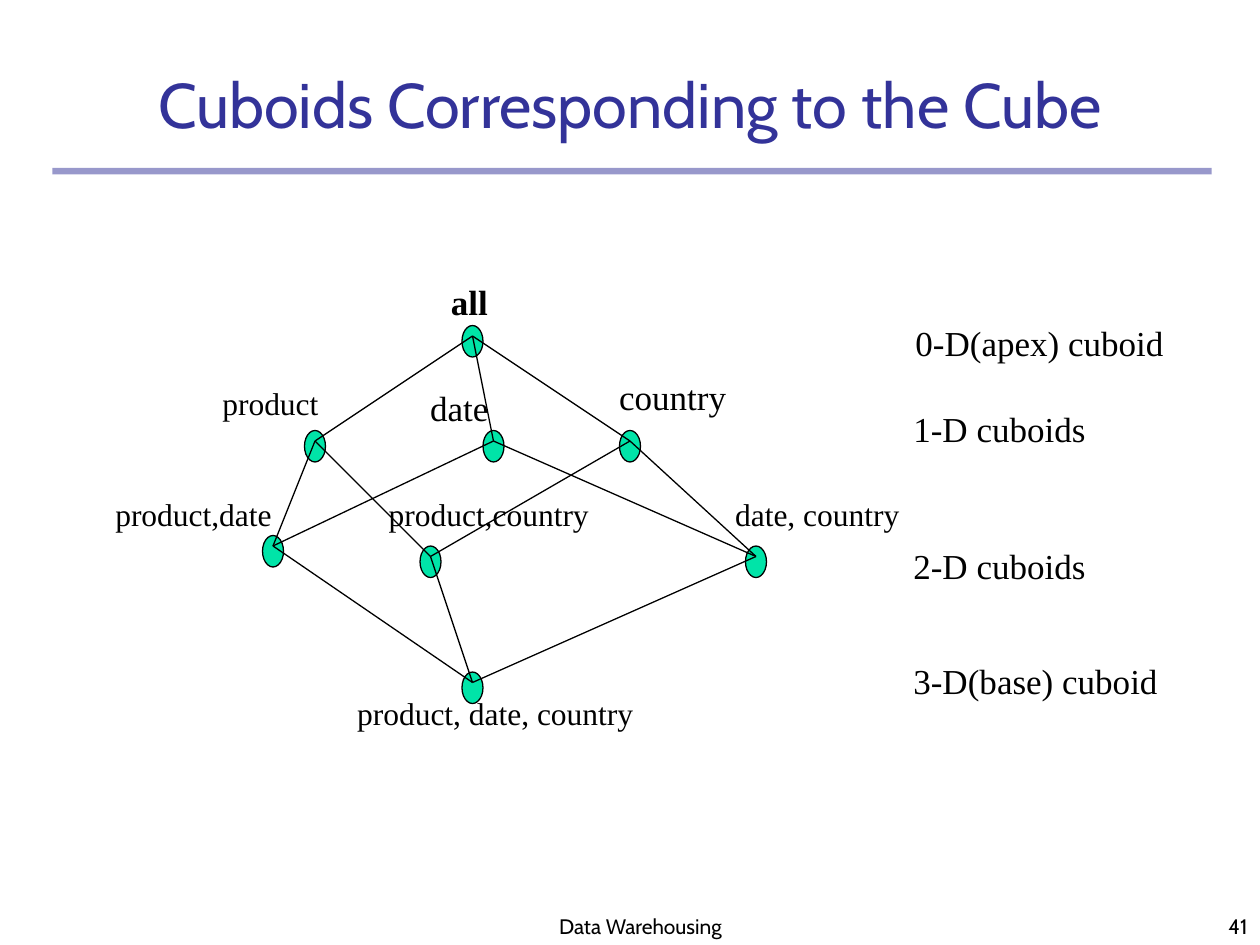
"""Build the slide showing the lattice of cuboids for a three-dimensional cube."""
import pptx
import pptx.dml.color
import pptx.enum.shapes
import pptx.enum.text
import pptx.oxml.ns
import pptx.util
from lxml import etree

Pt = pptx.util.Pt
RGBColor = pptx.dml.color.RGBColor
SHAPES = pptx.enum.shapes.MSO_SHAPE
ALIGN = pptx.enum.text.PP_ALIGN
ANCHOR = pptx.enum.text.MSO_ANCHOR
AUTO_SIZE = pptx.enum.text.MSO_AUTO_SIZE
qn = pptx.oxml.ns.qn

NAVY = RGBColor(0x33, 0x33, 0x99)
GREEN = RGBColor(0x00, 0xE4, 0xA8)
BLACK = RGBColor(0x00, 0x00, 0x00)
HEADING_FONT = "Cabin"
LABEL_FONT = "Times New Roman"

NODES = {
    "all": (264, 186),
    "product": (174, 246),
    "date": (276, 246),
    "country": (354, 246),
    "product,date": (150, 306),
    "date, country": (426, 312),
    "product,country": (240, 312),
    "product, date, country": (264, 384),
}

EDGES = [
    ("all", "product"),
    ("all", "country"),
    ("all", "date"),
    ("product", "product,date"),
    ("date", "product,date"),
    ("product", "product,country"),
    ("country", "product,country"),
    ("date", "date, country"),
    ("country", "date, country"),
    ("product,date", "product, date, country"),
    ("product,country", "product, date, country"),
    ("date, country", "product, date, country"),
]

LABELS = [
    ("all", 250.6, 157, 38, 20),
    ("product", 120, 216, 72, 18),
    ("date", 238.7, 217.3, 50, 20),
    ("country", 346.7, 211, 78, 20),
    ("product,date", 58.8, 279.3, 106, 18),
    ("product,country", 215, 279.3, 131, 18),
    ("date, country", 413, 279.3, 111, 18),
    ("product, date, country", 197, 393, 175, 18),
    ("0-D(apex) cuboid", 516, 180, 159, 20),
    ("1-D cuboids", 514.8, 229.3, 115, 20),
    ("2-D cuboids", 514.8, 307.3, 115, 20),
    ("3-D(base) cuboid", 514.8, 373.3, 157, 20),
]


class LatticeSlide:
    """Hold the shared style and the slide being drawn."""

    node_width = 12
    node_height = 18
    anchor_offset = 6
    line_width = 0.75

    def __init__(self, slide):
        self.slide = slide

    def text(self, text, left, top, width, height, *, size, font=LABEL_FONT, color=BLACK,
             bold=False, align=ALIGN.LEFT, anchor=ANCHOR.TOP, wrap=False):
        box = self.slide.shapes.add_textbox(Pt(left), Pt(top), Pt(width), Pt(height))
        frame = box.text_frame
        frame.word_wrap = wrap
        frame.auto_size = AUTO_SIZE.NONE if wrap else AUTO_SIZE.SHAPE_TO_FIT_TEXT
        frame.vertical_anchor = anchor
        paragraph = frame.paragraphs[0]
        paragraph.text = text
        paragraph.alignment = align
        paragraph.font.name = font
        paragraph.font.size = Pt(size)
        paragraph.font.bold = bold
        paragraph.font.color.rgb = color

    def heading(self, text, *bounds, **style):
        self.text(text, *bounds, font=HEADING_FONT, anchor=ANCHOR.BOTTOM, wrap=True, **style)

    def shape(self, kind, left, top, width, height, fill):
        shape = self.slide.shapes.add_shape(kind, Pt(left), Pt(top), Pt(width), Pt(height))
        shape.shadow.inherit = False
        shape.fill.solid()
        shape.fill.fore_color.rgb = fill
        return shape

    def rule(self, left, top, width, height):
        rule = self.shape(SHAPES.RECTANGLE, left, top, width, height, NAVY)
        rule.line.fill.background()
        color = rule._element.spPr.find(qn("a:solidFill")).find(qn("a:srgbClr"))
        etree.SubElement(color, qn("a:alpha")).set("val", "50000")

    def node(self, left, top):
        node = self.shape(SHAPES.FLOWCHART_CONNECTOR, left, top,
                          self.node_width, self.node_height, GREEN)
        node.line.color.rgb = BLACK
        node.line.width = Pt(self.line_width)

    def edge(self, start, end):
        points = [Pt(value + self.anchor_offset) for value in (*start, *end)]
        edge = self.slide.shapes.add_connector(
            pptx.enum.shapes.MSO_CONNECTOR.STRAIGHT, *points)
        edge.line.color.rgb = BLACK
        edge.line.width = Pt(self.line_width)
        etree.SubElement(edge._element.spPr, qn("a:effectLst"))


def main():
    presentation = pptx.Presentation()
    presentation.slide_width = Pt(720)
    presentation.slide_height = Pt(540)
    lattice = LatticeSlide(presentation.slides.add_slide(presentation.slide_layouts[6]))

    lattice.rule(30, 96, 662.4, 3.75)
    lattice.heading("Data Warehousing", 252, 498, 228, 42, size=12, align=ALIGN.CENTER)
    lattice.heading("41", 570, 504, 150, 36, size=12, align=ALIGN.RIGHT)
    lattice.heading("Cuboids Corresponding to the Cube", 30, 30, 660, 54,
                    size=36, color=NAVY, align=ALIGN.CENTER)

    for position in NODES.values():
        lattice.node(*position)
    for start, end in EDGES:
        lattice.edge(NODES[start], NODES[end])
    for label, left, top, width, size in LABELS:
        height = 31.5 if size == 20 else 29
        lattice.text(label, left, top, width, height, size=size, bold=label == "all")

    presentation.save("out.pptx")


if __name__ == "__main__":
    main()
